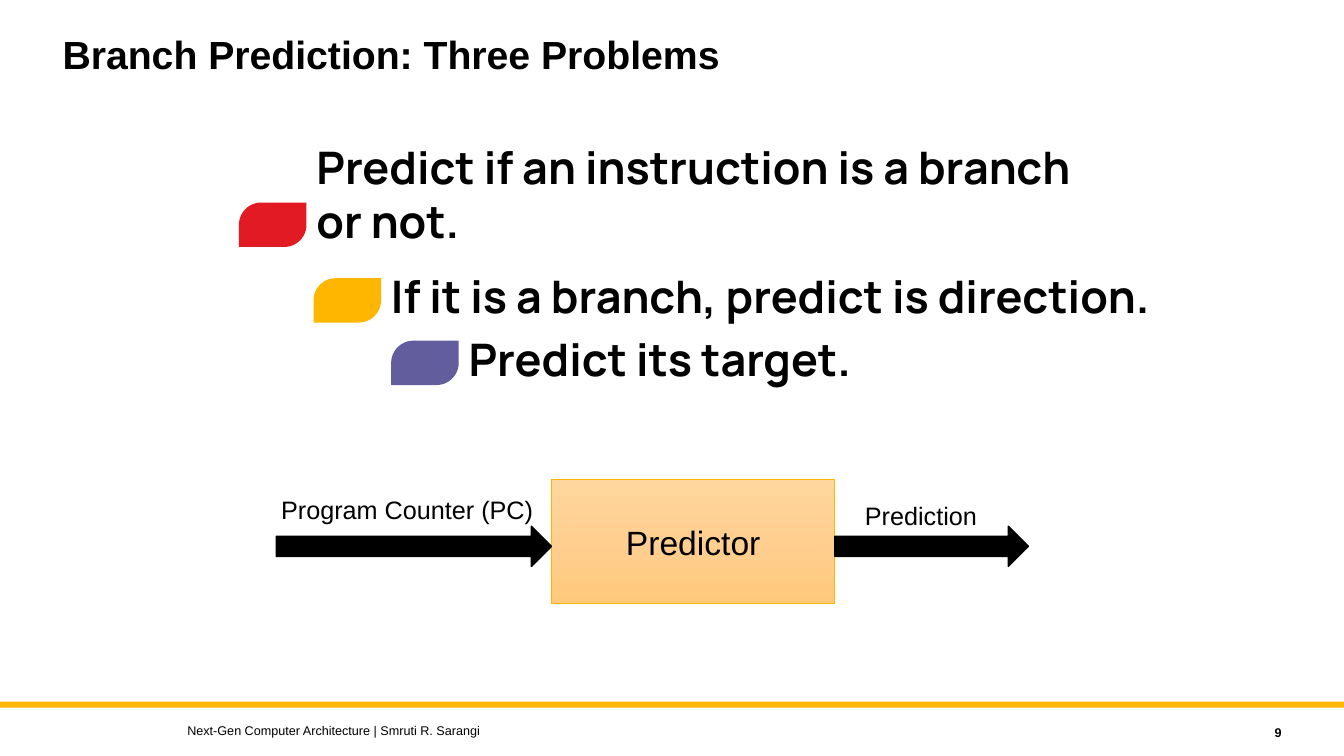
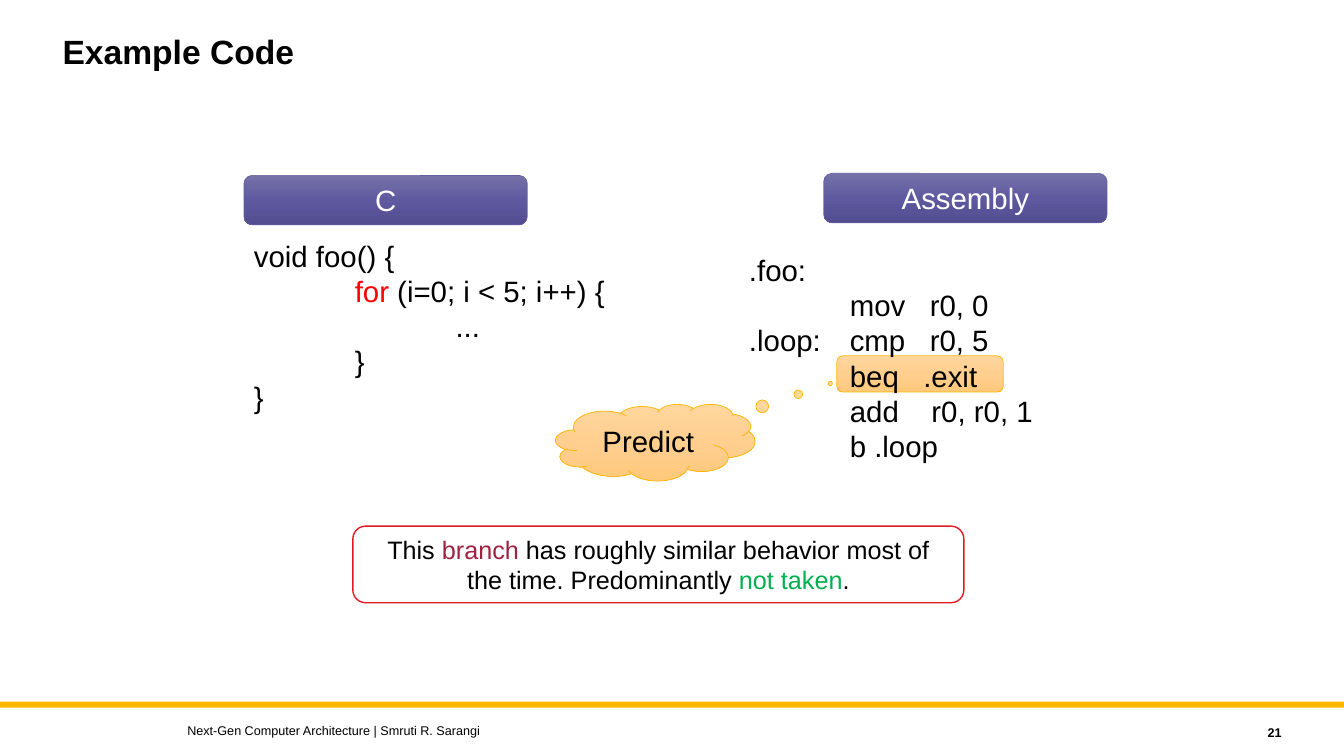
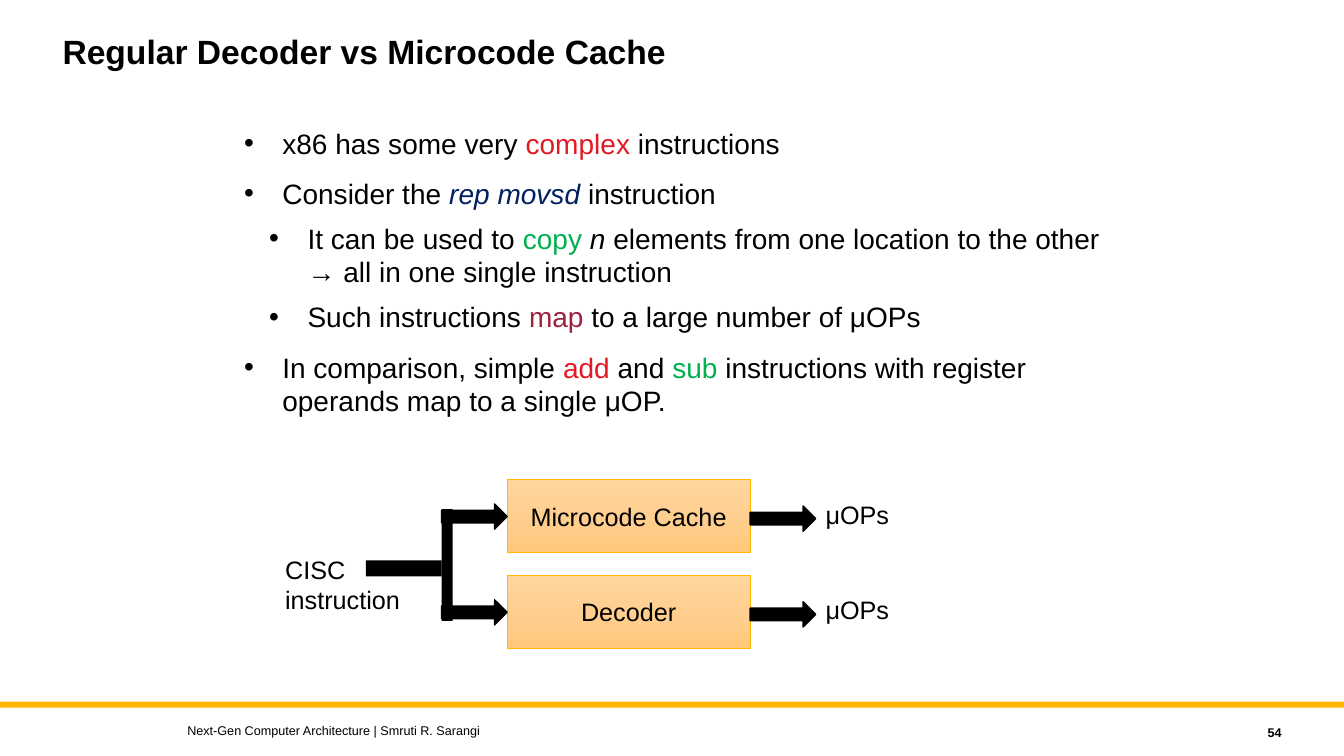
from copy import deepcopy
from pptx import Presentation
from pptx.dml.color import RGBColor
from pptx.enum.shapes import MSO_SHAPE as SHAPE
from pptx.enum.text import MSO_ANCHOR as ANCHOR, MSO_AUTO_SIZE as SIZE, PP_ALIGN as ALIGN
from pptx.oxml.ns import qn
from pptx.util import Inches, Pt
from lxml.etree import SubElement

WIDE, HIGH = 13.33, 7.5
BLACK, WHITE, RED, GOLD, VIOLET = "000000", "FFFFFF", "E21A23", "FFB600", "625D9C"
GREEN, WINE, NAVY = "00B050", "9F2241", "002060"
PEACH = ("FFD69E", "FFCF90", "FFC97C")
PURPLE = ("7571A8", "5F5A9F", "524D90")
FOOTER = "Next-Gen Computer Architecture | Smruti R. Sarangi"

# A paragraph is a string or a list of runs; a run is a string or (text, format).
PROBLEMS = [
    # text, leaf colour, leaf left, leaf top, text width, text height
    ("Predict if an instruction is a branch or not.", RED, 2.37, 2.01, 8.13, 1.18),
    ("If it is a branch, predict is direction.", GOLD, 3.11, 2.76, 8.5, 0.64),
    ("Predict its target.", VIOLET, 3.88, 3.38, 8.5, 0.64),
]
C_CODE = [
    "void foo() {",
    ["\t", ("for", {"color": "FF0000"}), " (i=0; i < 5; i++) {"],
    "\t\t...",
    "\t}",
    "}",
]
ASM_CODE = [
    ".foo:",
    "\tmov   r0, 0",
    ".loop:\tcmp   r0, 5",
    "\tbeq   .exit",
    "\tadd    r0, r0, 1",
    "\tb .loop",
]
REMARK = [["This ", ("branch", {"color": WINE}),
           " has roughly similar behavior most of the time. Predominantly ",
           ("not taken", {"color": GREEN}), "."]]
POINTS = [
    (0, ["x86 has some very ", ("complex", {"color": RED}), " instructions"]),
    (0, ["Consider the ", ("rep movsd ", {"color": NAVY, "italic": True}), "instruction"]),
    (1, ["It can be used to ", ("copy ", {"color": GREEN}), ("n", {"italic": True}),
         " elements from one location to the other → all in one single instruction"]),
    (1, ["Such instructions ", ("map", {"color": WINE}), " to a large number of μOPs"]),
    (0, ["In comparison, simple ", ("add", {"color": RED}), " and ", ("sub", {"color": GREEN}),
         " instructions with register operands map to a single μOP."]),
]
UNITS = ["Microcode Cache", "Decoder"]


def rgb(code):
    return RGBColor.from_string(code)


def place(shape, at):
    shape.left, shape.top, shape.width, shape.height = map(Inches, at)


def add_runs(par, runs, size, **look):
    for run in [runs] if isinstance(runs, str) else runs:
        words, extra = (run, {}) if isinstance(run, str) else run
        style = {"name": "Arial", "size": Pt(size), "bold": False,
                 "italic": False, "color": BLACK, **look, **extra}
        piece = par.add_run()
        piece.text = words
        piece.font.color.rgb = rgb(style.pop("color"))
        for key, value in style.items():
            setattr(piece.font, key, value)


def write(shape, pars, size, align=ALIGN.LEFT, anchor=ANCHOR.TOP, wrap=True, tabs=(), **look):
    """Fill a shape's frame with paragraphs and return them."""
    frame = shape.text_frame
    for key, value in {"auto_size": SIZE.NONE, "word_wrap": wrap,
                       "vertical_anchor": anchor}.items():
        setattr(frame, key, value)
    pars = [pars] if isinstance(pars, str) else pars
    for i, runs in enumerate(pars):
        par = frame.add_paragraph() if i else frame.paragraphs[0]
        par.alignment = align
        if tabs:
            stops = SubElement(par._p.get_or_add_pPr(), qn("a:tabLst"))
            for stop in tabs:
                SubElement(stops, qn("a:tab"), pos=str(Inches(stop)), algn="l")
        add_runs(par, runs, size, **look)
    return frame.paragraphs


def label(slide, at, pars, size=18, **look):
    write(slide.shapes.add_textbox(*map(Inches, at)), pars, size, **look)


def draw(slide, kind, at, fill, line=None, width=0.5, adjust=()):
    """Add a preset shape; a tuple of colours fills it from top to bottom."""
    shape = slide.shapes.add_shape(kind, *map(Inches, at))
    shape.shadow.inherit = False
    for i, value in enumerate(adjust):
        shape.adjustments[i] = value
    if isinstance(fill, str):
        shape.fill.solid()
        shape.fill.fore_color.rgb = rgb(fill)
    else:
        shape.fill.gradient()
        shape.fill.gradient_angle = 270
        stops = shape.element.spPr.find(qn("a:gradFill")).find(qn("a:gsLst"))
        stops.insert(1, deepcopy(stops[0]))
        for i, (stop, code) in enumerate(zip(shape.fill.gradient_stops, fill)):
            stop.position = i / 2
            stop.color.rgb = rgb(code)
    if line:
        shape.line.color.rgb = rgb(line)
        shape.line.width = Pt(width)
    else:
        shape.line.fill.background()
    return shape


def block(slide, kind, at, words, size, fill=PEACH, line=GOLD, adjust=(), width=0.5, **look):
    shape = draw(slide, kind, at, fill, line, width, adjust)
    write(shape, words, size, ALIGN.CENTER, ANCHOR.MIDDLE, **look)


def arrow(slide, *at):
    draw(slide, SHAPE.RIGHT_ARROW, at, BLACK, BLACK, 1)


def start(deck, title, number, size=24, layout=5):
    slide = deck.slides.add_slide(deck.slide_layouts[layout])
    head = slide.shapes.title
    place(head, (0.52, 0.3, 10, 0.9))
    write(head, title, size, bold=True)[0].line_spacing = 0.9
    label(slide, (1.76, 7.12, 8, 0.25), FOOTER, 9, anchor=ANCHOR.MIDDLE)
    label(slide, (11.41, 7.14, 1.4, 0.25), str(number), 9, bold=True,
          align=ALIGN.RIGHT, anchor=ANCHOR.MIDDLE)
    return slide


def add_band(deck, slide):
    """Put the gold band on the master, so that every slide has it."""
    band = draw(slide, SHAPE.RECTANGLE, (0, 6.96, WIDE, 0.06), GOLD)
    deck.slide_master.shapes.element.append(band.element)


def show_problems(slide):
    leaf_w, leaf_h = 0.67, 0.44
    for words, fill, x, y, wide, high in PROBLEMS:
        draw(slide, SHAPE.ROUND_2_DIAG_RECTANGLE, (x, y, leaf_w, leaf_h), fill, adjust=(0.5, 0))
        label(slide, (x + leaf_w, y + 0.49 - high, wide, high), words, 32,
              name="Manrope", bold=True, anchor=ANCHOR.BOTTOM)
    x, wide = 5.47, 2.81
    block(slide, SHAPE.FLOWCHART_PROCESS, (x, 4.76, wide, 1.23), "Predictor", 24)
    arrow(slide, x - 2.73, 5.22, 2.73, 0.4)
    arrow(slide, x + wide, 5.22, 1.92, 0.4)
    label(slide, (2.69, 4.85, 2.73, 0.4), "Program Counter (PC)", wrap=False)
    label(slide, (8.48, 4.91, 1.32, 0.4), "Prediction", wrap=False)


def show_code(slide):
    draw(slide, SHAPE.ROUNDED_RECTANGLE, (8.3, 3.53, 1.65, 0.36), PEACH, GOLD)
    for words, x, y in (("C", 2.42, 1.74), ("Assembly", 8.17, 1.72)):
        block(slide, SHAPE.ROUNDED_RECTANGLE, (x, y, 2.81, 0.49), words, 21,
              PURPLE, VIOLET, color=WHITE)
    for lines, at in ((C_CODE, (2.42, 2.31, 3.72, 1.87)), (ASM_CODE, (7.33, 2.45, 3.05, 2.57))):
        label(slide, at, lines, 21, wrap=False, tabs=(1, 2))
    block(slide, SHAPE.CLOUD_CALLOUT, (5.51, 4.01, 1.98, 0.76), "Predict", 21,
          adjust=(0.876, -0.77))
    block(slide, SHAPE.ROUNDED_RECTANGLE, (3.5, 5.22, 6.06, 0.76), REMARK, 18,
          WHITE, RED, width=1)


def show_decoder(slide):
    body = slide.placeholders[1]
    place(body, (2.32, 1.2, 9.02, 3.02))
    pars = write(body, [""] * len(POINTS), 20)
    for i, (par, (level, runs)) in enumerate(zip(pars, POINTS)):
        par.level = level
        par.space_before = Pt((12, 8)[level] if i else 0)
        props = par._p.get_or_add_pPr()
        props.set("marL", str(Inches((0.38, 0.63)[level])))
        props.set("indent", str(Inches(-0.38)))
        SubElement(props, qn("a:buFont"), typeface="Arial")
        SubElement(props, qn("a:buChar"), char="•")
        par._p.remove(par.runs[0]._r)
        add_runs(par, runs, 20)

    x, wide, fork, reach = 5.03, 2.41, 4.38, 0.65
    for i, words in enumerate(UNITS):
        y = 4.76 + 0.95 * i
        block(slide, SHAPE.RECTANGLE, (x, y, wide, 0.72), words, 18)
        arrow(slide, fork, y + 0.24, reach, 0.25)
        arrow(slide, x + wide, y + 0.26, reach, 0.25)
        label(slide, (x + wide + reach, y + 0.14, 1, 0.4), "μOPs")
    draw(slide, SHAPE.RECTANGLE, (fork, 5.05, 0.11, 1.11), BLACK)
    draw(slide, SHAPE.RECTANGLE, (fork - 0.75, 5.56, 0.75, 0.16), BLACK)
    label(slide, (2.73, 5.45, 1.43, 0.71), ["CISC", "instruction"])


def main():
    deck = Presentation()
    deck.slide_width, deck.slide_height = Inches(WIDE), Inches(HIGH)
    first = start(deck, "Branch Prediction: Three Problems", 9, size=28)
    add_band(deck, first)
    show_problems(first)
    show_code(start(deck, "Example Code", 21))
    show_decoder(start(deck, "Regular Decoder vs Microcode Cache", 54, layout=1))
    deck.save("out.pptx")


if __name__ == "__main__":
    main()
